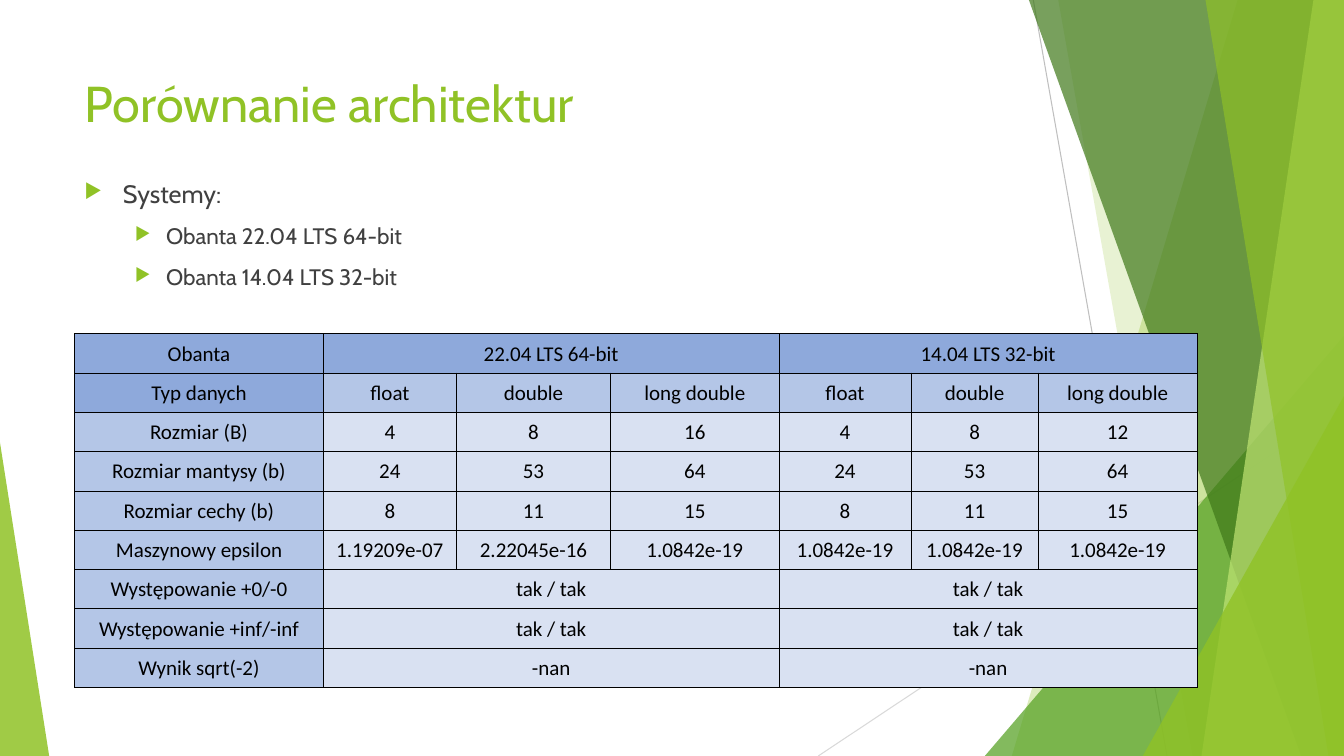
import pptx
import pptx.util
import pptx.dml.color
import pptx.enum.shapes
import pptx.enum.text
import pptx.oxml
import pptx.oxml.ns
from lxml import etree

Cm, Pt = pptx.util.Cm, pptx.util.Pt
qn = pptx.oxml.ns.qn
RGB = pptx.dml.color.RGBColor.from_string
ANCHOR = pptx.enum.text.MSO_ANCHOR
ALIGN = pptx.enum.text.PP_ALIGN
WIDTH, HEIGHT = 33.87, 19.05


class Theme:
    lime, green, forest, pale = "90C226", "54A021", "3F7819", "C0E474"
    grey, light_grey, text, black = "BFBFBF", "D9D9D9", "404040", "000000"
    head, label, data = "8EA9DB", "B4C6E7", "D9E1F2"
    title_font = dict(name="Cabin", size=Pt(36), color=lime)
    body_fonts = [dict(name="Cabin", size=Pt(18), color=text),
                  dict(name="Cabin", size=Pt(16), color=text)]
    table_font = dict(name="Calibri", size=Pt(15), color=black)
    indents = [(0.97, -0.97), (2.06, -0.79)]


class SlideBuilder:
    def __init__(self, prs, theme):
        self.theme = theme
        self.s = prs.slides.add_slide(prs.slide_layouts[5])

    def set_all(self, obj, **values):
        for key, value in values.items():
            setattr(obj, key, value)

    def add_text(self, p, text, font):
        r = p.add_run()
        r.text = text
        for key, value in font.items():
            if key == "color":
                r.font.color.rgb = RGB(value)
            else:
                setattr(r.font, key, value)

    def line(self, x1, y1, x2, y2, color):
        c = self.s.shapes.add_connector(
            pptx.enum.shapes.MSO_CONNECTOR.STRAIGHT, Cm(x1), Cm(y1), Cm(x2), Cm(y2))
        c.line.color.rgb = RGB(color)
        c.line.width = Pt(0.75)
        etree.SubElement(c.element.spPr, qn("a:effectLst"))

    def paint(self, sp, color, opacity):
        sp.shadow.inherit = False
        sp.line.fill.background()
        sp.fill.solid()
        sp.fill.fore_color.rgb = RGB(color)
        clr = sp.element.xpath("./p:spPr/a:solidFill/a:srgbClr")[0]
        etree.SubElement(clr, qn("a:alpha"), val=str(opacity * 1000))

    def band(self, top_x, bottom_x, color, opacity):
        """Band from a slanted left edge to the right side of the slide."""
        fb = self.s.shapes.build_freeform(Cm(top_x), 0)
        fb.add_line_segments([(Cm(WIDTH), 0), (Cm(WIDTH), Cm(HEIGHT)),
                              (Cm(bottom_x), Cm(HEIGHT))], close=True)
        self.paint(fb.convert_to_shape(), color, opacity)

    def triangle(self, x, y, w, apex, color, opacity):
        """Triangle standing on the bottom of the slide."""
        sp = self.s.shapes.add_shape(
            pptx.enum.shapes.MSO_SHAPE.ISOSCELES_TRIANGLE,
            Cm(x), Cm(y), Cm(w), Cm(HEIGHT - y))
        sp.adjustments[0] = apex
        self.paint(sp, color, opacity)

    def title(self, text, x, y, w, h):
        sp = self.s.shapes.title
        self.set_all(sp, left=Cm(x), top=Cm(y), width=Cm(w), height=Cm(h))
        tf = sp.text_frame
        self.set_all(tf, word_wrap=True, vertical_anchor=ANCHOR.TOP,
                     auto_size=pptx.enum.text.MSO_AUTO_SIZE.NONE)
        p = tf.paragraphs[0]
        p.alignment = ALIGN.LEFT
        self.add_text(p, text, self.theme.title_font)
        sp.element.getparent().append(sp.element)  # in front of the bands

    def bullets(self, items, x, y, w, h):
        tf = self.s.shapes.add_textbox(Cm(x), Cm(y), Cm(w), Cm(h)).text_frame
        tf.word_wrap = True
        for i, (level, text) in enumerate(items):
            p = tf.add_paragraph() if i else tf.paragraphs[0]
            self.set_all(p, level=level, space_before=Pt(10))
            left, first = self.theme.indents[level]
            pPr = p._p.get_or_add_pPr()
            pPr.set("marL", str(Cm(left)))
            pPr.set("indent", str(Cm(first)))
            clr = etree.SubElement(pPr, qn("a:buClr"))
            etree.SubElement(clr, qn("a:srgbClr"), val=self.theme.lime)
            etree.SubElement(pPr, qn("a:buSzPct"), val="80000")
            etree.SubElement(pPr, qn("a:buChar"), char="▶")
            self.add_text(p, text, self.theme.body_fonts[level])

    def cell(self, cell, text, color):
        self.set_all(cell, margin_left=Cm(0.03), margin_right=Cm(0.03),
                     margin_top=Cm(0.03), margin_bottom=0,
                     vertical_anchor=ANCHOR.MIDDLE)
        cell.fill.solid()
        cell.fill.fore_color.rgb = RGB(color)
        tcPr = cell._tc.get_or_add_tcPr()
        for i, side in enumerate(("lnL", "lnR", "lnT", "lnB")):
            ln = etree.Element(qn("a:" + side), w=str(Pt(0.5)))
            fill = etree.SubElement(ln, qn("a:solidFill"))
            etree.SubElement(fill, qn("a:srgbClr"), val=self.theme.black)
            tcPr.insert(i, ln)
        if text:
            p = cell.text_frame.paragraphs[0]
            p.alignment = ALIGN.CENTER
            self.add_text(p, text, self.theme.table_font)

    def table(self, rows, x, y, widths, row_height):
        """Rows with three entries hold a label and two merged groups."""
        t = self.s.shapes.add_table(len(rows), len(widths), Cm(x), Cm(y),
                                    Cm(sum(widths)), Cm(row_height * len(rows))).table
        self.set_all(t, first_row=False, horz_banding=False)
        for col, width in zip(t.columns, widths):
            col.width = Cm(width)
        th = self.theme
        for i, row in enumerate(rows):
            t.rows[i].height = Cm(row_height)
            if len(row) == 3:
                for c in (1, 4):
                    t.cell(i, c).merge(t.cell(i, c + 2))
                row = [row[0], row[1], "", "", row[2], "", ""]
            shades = [(th.head, th.head), (th.head, th.label)]
            label, data = shades[i] if i < 2 else (th.label, th.data)
            for j, text in enumerate(row):
                self.cell(t.cell(i, j), text, data if j else label)


def main():
    prs = pptx.Presentation()
    prs.slide_width, prs.slide_height = Cm(WIDTH), Cm(HEIGHT)
    th = Theme()
    b = SlideBuilder(prs, th)

    # Background decoration
    b.line(26.04, 0, 29.41, HEIGHT, th.grey)
    b.line(WIDTH, 10.24, 20.62, HEIGHT, th.light_grey)
    b.band(31.19, 25.5, th.lime, 30)
    b.band(26.67, 30.05, th.lime, 20)
    b.triangle(24.82, 8.46, 9.05, 1, th.green, 72)
    b.band(25.93, 32.79, th.forest, 70)
    b.band(33.1, 30.28, th.pale, 70)
    b.band(30.38, 33.48, th.lime, 65)
    b.triangle(28.8, 9.98, 5.07, 1, th.lime, 80)
    b.triangle(0, 11.15, 1.24, 0, th.lime, 85)

    # Title and list of systems
    b.title("Porównanie architektur", 1.88, 1.7, 23.88, 3.66)
    b.bullets([(0, "Systemy:"),
               (1, "Obanta 22.04 LTS 64-bit"),
               (1, "Obanta 14.04 LTS 32-bit")], 1.88, 4.37, 23.88, 10.77)

    # Comparison table
    types = ["float", "double", "long double"]
    b.table([
        ["Obanta", "22.04 LTS 64-bit", "14.04 LTS 32-bit"],
        ["Typ danych"] + types * 2,
        ["Rozmiar (B)", "4", "8", "16", "4", "8", "12"],
        ["Rozmiar mantysy (b)"] + ["24", "53", "64"] * 2,
        ["Rozmiar cechy (b)"] + ["8", "11", "15"] * 2,
        ["Maszynowy epsilon", "1.19209e-07", "2.22045e-16"] + ["1.0842e-19"] * 4,
        ["Występowanie +0/-0"] + ["tak / tak"] * 2,
        ["Występowanie +inf/-inf"] + ["tak / tak"] * 2,
        ["Wynik sqrt(-2)"] + ["-nan"] * 2,
    ], 1.88, 8.41, [6.27, 3.35, 3.89, 4.24, 3.33, 3.2, 4.01], 0.99)

    prs.save("out.pptx")


if __name__ == "__main__":
    main()
